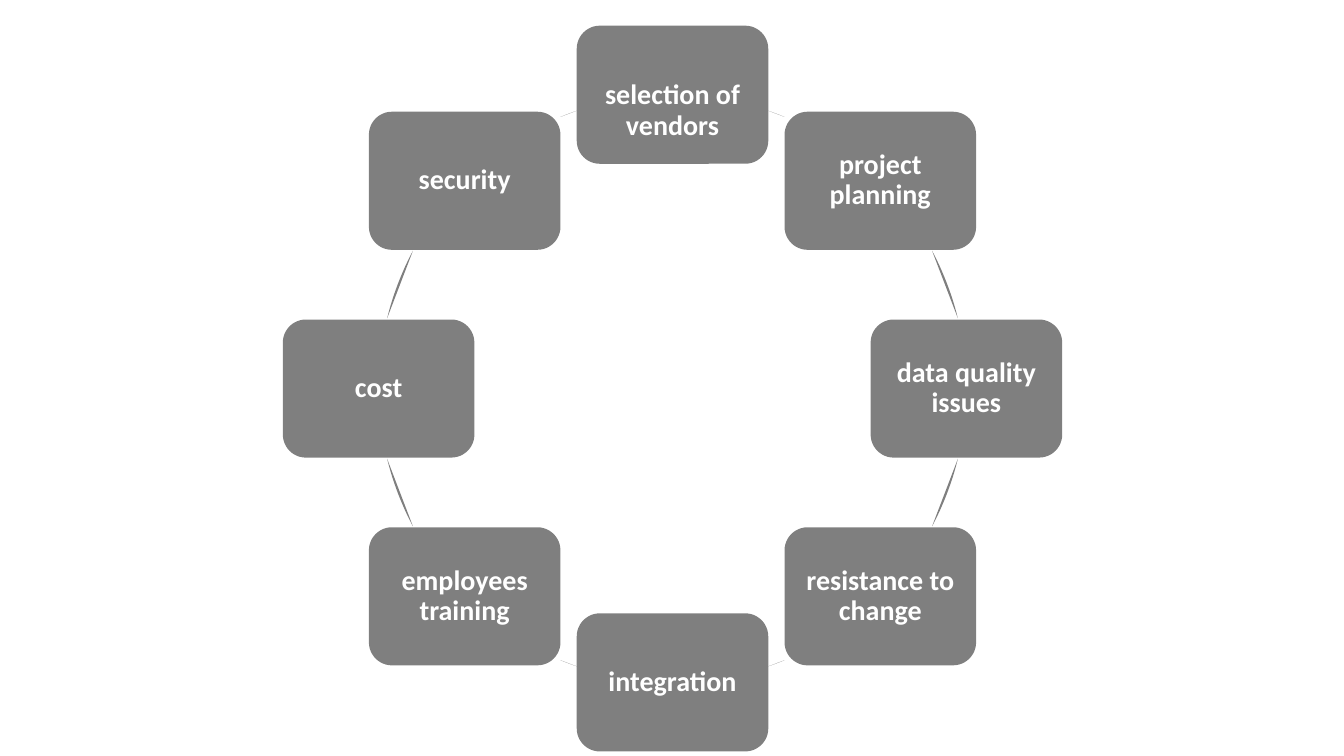
import math

import lxml.etree
import pptx
import pptx.dml.color
import pptx.enum.shapes
import pptx.enum.text
import pptx.oxml.ns
import pptx.util

# Content, clockwise from the top
CHALLENGES = [
    "selection of vendors",
    "project planning",
    "data quality issues",
    "resistance to change",
    "integration",
    "employees training",
    "cost",
    "security",
]

# Geometry in inches, angles in degrees clockwise from the top
WIDTH, HEIGHT = 13.33, 7.5
CENTER_X, CENTER_Y = 0.5004 * WIDTH, 0.514 * HEIGHT
RADIUS = 2.915
BOX_WIDTH, BOX_HEIGHT = 1.9, 1.37
INSET = 0.13
FIRST_TOP_INSET = 0.45
ARC_STEPS = 12

# Gaps between boxes: one quarter, mirrored below, then turned by half a circle
QUARTER = [(19.05, 22.4), (62, 76.2)]
HALF = QUARTER + [(180 - end, 180 - start) for start, end in reversed(QUARTER)]
GAPS = HALF + [(180 + start, 180 + end) for start, end in HALF]


def color(hex_string):
    return pptx.dml.color.RGBColor.from_string(hex_string)


def from_center(right, down):
    return pptx.util.Inches(CENTER_X + right), pptx.util.Inches(CENTER_Y + down)


def on_ring(degrees):
    angle = math.radians(degrees)
    return from_center(RADIUS * math.sin(angle), -RADIUS * math.cos(angle))


def paint(shape):
    """Half-transparent black, without outline or shadow."""
    shape.shadow.inherit = False
    shape.line.fill.background()
    shape.fill.solid()
    shape.fill.fore_color.rgb = color("000000")
    fill_color = shape.fill._xPr.find(".//" + pptx.oxml.ns.qn("a:srgbClr"))
    lxml.etree.SubElement(fill_color, pptx.oxml.ns.qn("a:alpha"), val="50000")


def add_box(slide, label, degrees, top_inset):
    x, y = on_ring(degrees)
    width, height = pptx.util.Inches(BOX_WIDTH), pptx.util.Inches(BOX_HEIGHT)
    box = slide.shapes.add_shape(
        pptx.enum.shapes.MSO_SHAPE.ROUNDED_RECTANGLE,
        x - width // 2, y - height // 2, width, height)
    paint(box)
    frame = box.text_frame
    frame.word_wrap = True
    frame.vertical_anchor = pptx.enum.text.MSO_ANCHOR.MIDDLE
    frame.margin_left = frame.margin_right = pptx.util.Inches(INSET)
    frame.margin_top = pptx.util.Inches(top_inset)
    frame.margin_bottom = pptx.util.Inches(INSET)
    paragraph = frame.paragraphs[0]
    paragraph.alignment = pptx.enum.text.PP_ALIGN.CENTER
    paragraph.line_spacing = 0.9
    run = paragraph.add_run()
    run.text = label
    run.font.name = "Calibri"
    run.font.size = pptx.util.Pt(20)
    run.font.bold = True
    run.font.color.rgb = color("FFFFFF")


def add_arc(slide, start, end):
    """Sliver between the ring and its chord, in a frame as large as the ring."""
    points = [on_ring(start + (end - start) * step / ARC_STEPS)
              for step in range(ARC_STEPS + 1)]
    builder = slide.shapes.build_freeform(*from_center(-RADIUS, -RADIUS))
    builder.move_to(*from_center(RADIUS, RADIUS))
    builder.move_to(*points[0])
    builder.add_line_segments(points[1:], close=True)
    paint(builder.convert_to_shape())


def main():
    deck = pptx.Presentation()
    deck.slide_width = pptx.util.Inches(WIDTH)
    deck.slide_height = pptx.util.Inches(HEIGHT)
    slide = deck.slides.add_slide(deck.slide_layouts[6])

    # Ring of boxes, each followed by the arc to the next
    for index, (challenge, gap) in enumerate(zip(CHALLENGES, GAPS)):
        top_inset = INSET if index else FIRST_TOP_INSET
        add_box(slide, challenge, index * 360 / len(CHALLENGES), top_inset)
        add_arc(slide, *gap)

    deck.save("out.pptx")


if __name__ == "__main__":
    main()
